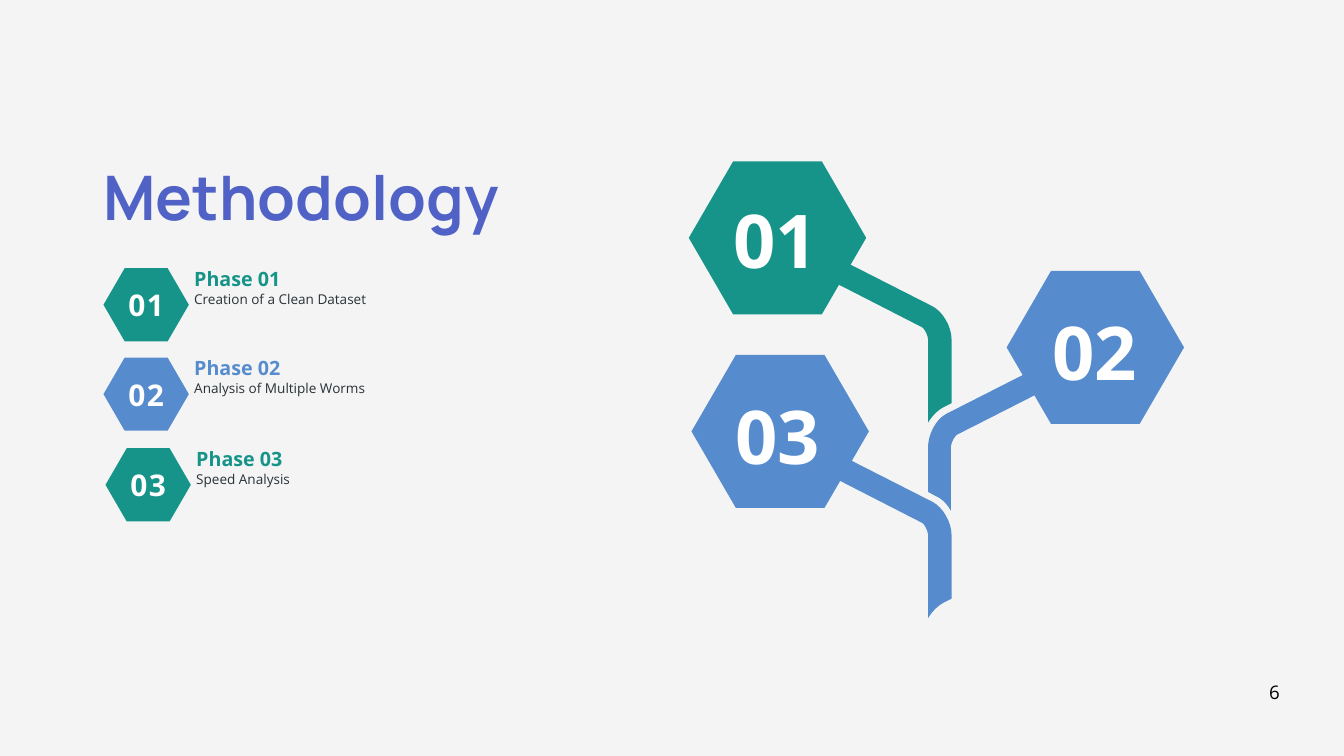
import pptx
import pptx.util
import pptx.dml.color
import pptx.enum.shapes
import pptx.enum.text

Inches = pptx.util.Inches
Pt = pptx.util.Pt
RGBColor = pptx.dml.color.RGBColor
Align = pptx.enum.text.PP_ALIGN
Anchor = pptx.enum.text.MSO_ANCHOR
AutoSize = pptx.enum.text.MSO_AUTO_SIZE

PAPER = RGBColor(0xF4, 0xF4, 0xF4)
TEAL = RGBColor(0x16, 0x94, 0x8A)
BLUE = RGBColor(0x56, 0x8C, 0xCD)
INDIGO = RGBColor(0x50, 0x62, 0xC6)
INK = RGBColor(0x29, 0x32, 0x37)
WHITE = RGBColor(0xFF, 0xFF, 0xFF)
BLACK = RGBColor(0, 0, 0)

LEFT_BRANCH = [
    [(1.71, 1.12)], [(1.71, 2.07)], [(1.59, 2.13)],
    [(1.5, 2.18), (1.42, 2.26), (1.36, 2.36)],
    [(1.36, 1.12)], [(1.36, 1.07), (1.31, 0.96), (1.27, 0.94)],
    [(0, 0.29)], [(0.08, 0.21), (0.15, 0.11), (0.19, 0)],
    [(1.43, 0.63)], [(1.58, 0.71), (1.71, 0.93), (1.71, 1.12)],
]
RIGHT_BRANCH = [
    [(1.71, 0.29)], [(0.43, 0.94)],
    [(0.39, 0.97), (0.34, 1.07), (0.34, 1.13)],
    [(0.34, 2.07)], [(0.29, 1.98), (0.21, 1.89), (0.11, 1.85)],
    [(0, 1.79)], [(0, 1.13)],
    [(0, 0.93), (0.12, 0.71), (0.27, 0.63)],
    [(1.51, 0)], [(1.56, 0.11), (1.62, 0.21), (1.71, 0.29)],
]

BRANCHES = [
    ("03", BLUE, LEFT_BRANCH, (12.45, 6.84), (10.29, 5.28), (10.45, 5.59)),
    ("01", TEAL, LEFT_BRANCH, (12.45, 3.93), (10.25, 2.4), (10.42, 2.67)),
    ("02", BLUE, RIGHT_BRANCH, (13.81, 5.53), (14.98, 4.03), (15.17, 4.34)),
]
PHASES = [
    ("01", "Creation of a Clean Dataset", TEAL, 1.54, 3.99),
    ("02", "Analysis of Multiple Worms", BLUE, 1.54, 5.32),
    ("03", "Speed Analysis", TEAL, 1.57, 6.67),
]


def trace(outline, steps=8):
    points = [outline[0][0]]
    for segment in outline[1:]:
        if len(segment) == 1:
            points.append(segment[0])
            continue
        start, (control_a, control_b, end) = points[-1], segment
        for step in range(1, steps + 1):
            t = step / steps
            u = 1 - t
            points.append(tuple(
                u**3 * a + 3 * u * u * t * b + 3 * u * t * t * c + t**3 * d
                for a, b, c, d in zip(start, control_a, control_b, end)))
    return points


class SlideBuilder:
    font = "Open Sans"
    leading = 1.4

    def __init__(self, page):
        self.page = page
        page.background.fill.solid()
        page.background.fill.fore_color.rgb = PAPER

    def paint(self, shape, color):
        shape.shadow.inherit = False
        shape.fill.solid()
        shape.fill.fore_color.rgb = color
        shape.line.fill.background()

    def hexagon(self, left, top, width, height, color):
        shape = self.page.shapes.add_shape(
            pptx.enum.shapes.MSO_SHAPE.HEXAGON,
            Inches(left), Inches(top), Inches(width), Inches(height))
        shape.adjustments[0] = 0.29
        self.paint(shape, color)

    def branch(self, left, top, outline, color):
        points = [(Inches(left + x), Inches(top + y))
                  for x, y in trace(outline)]
        builder = self.page.shapes.build_freeform(*points[0])
        builder.add_line_segments(points[1:], close=True)
        self.paint(builder.convert_to_shape(), color)

    def set_text(self, box, place, words, size, color, bold=False,
                 align=Align.LEFT, font=None, inset=0, wrap=True,
                 anchor=Anchor.TOP, fit=AutoSize.SHAPE_TO_FIT_TEXT,
                 tracking=0):
        box.left, box.top, box.width, box.height = map(Inches, place)
        frame = box.text_frame
        frame.margin_left = frame.margin_right = Inches(inset)
        frame.margin_top = frame.margin_bottom = Inches(inset)
        frame.word_wrap = wrap
        frame.auto_size = fit
        frame.vertical_anchor = anchor
        para = frame.paragraphs[0]
        para.alignment = align
        para.line_spacing = Pt(round(size * self.leading, 1))
        para.space_before = Pt(0)
        span = para.add_run()
        span.text = words
        span.font.name = font or self.font
        span.font.size = Pt(size)
        span.font.bold = bold
        span.font.color.rgb = color
        if tracking:
            span.font._element.set("spc", str(round(tracking * 100)))

    def text(self, place, words, size, color, **style):
        box = self.page.shapes.add_textbox(*map(Inches, place))
        self.set_text(box, place, words, size, color, **style)

    def title(self, place, words, size, color, **style):
        self.set_text(self.page.shapes.title, place, words, size, color,
                      **style)


def main():
    deck = pptx.Presentation()
    deck.slide_width = Inches(20)
    deck.slide_height = Inches(11.25)
    slide = SlideBuilder(deck.slides.add_slide(deck.slide_layouts[5]))

    slide.title((1.54, 2.19, 8.31, 1.29), "Methodology", 65.8, INDIGO,
                bold=True, font="Manrope")

    for number, color, outline, stem, hexagon, label in BRANCHES:
        slide.branch(*stem, outline, color)
        slide.hexagon(*hexagon, 2.64, 2.28, color)
        slide.text((*label, 2.25, 1.49), number, 79.4, WHITE,
                   bold=True, align=Align.CENTER)

    for number, summary, color, left, top in PHASES:
        slide.hexagon(left, top, 1.27, 1.09, color)
        slide.text((left + 0.18, top - 0.09, 0.91, 1.18), number, 32, WHITE,
                   bold=True, align=Align.CENTER, anchor=Anchor.MIDDLE,
                   inset=0.06, fit=AutoSize.NONE, tracking=1.6)
        slide.text((left + 1.35, top - 0.08, 2.45, 0.39), f"Phase {number}",
                   21.1, color, bold=True)
        slide.text((left + 1.35, top + 0.3, 6.2, 0.27), summary, 14.5, INK)

    slide.text((18.88, 10.07, 0.17, 0.22), "6", 20, BLACK,
               align=Align.CENTER, wrap=False)

    deck.save("out.pptx")


if __name__ == "__main__":
    main()
